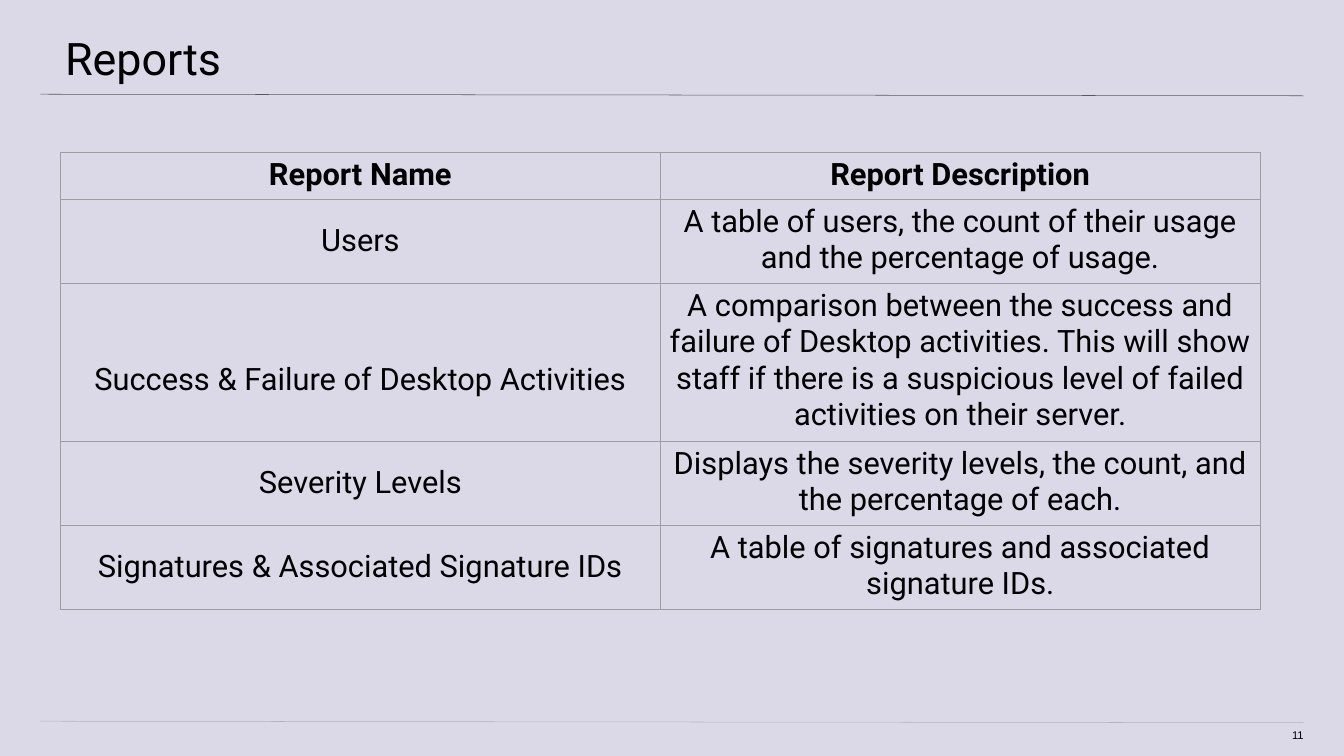
"""Build the Reports slide: a title, two rules, a report table and a page number."""
import pptx
import pptx.dml.color
import pptx.enum.text
import pptx.oxml
import pptx.oxml.ns
import pptx.util
from lxml import etree

Inches = pptx.util.Inches
Pt = pptx.util.Pt
ALIGN = pptx.enum.text.PP_ALIGN
ANCHOR = pptx.enum.text.MSO_ANCHOR
COLORS = {
    "background": "DBD9E8",
    "text": "000000",
    "title_rule": "595959",
    "footer_rule": "A9B7C0",
    "border": "9E9E9E",
}
REPORTS = [
    ("Report Name", "Report Description"),
    ("Users", "A table of users, the count of their usage and the percentage of usage."),
    (
        "Success & Failure of Desktop Activities",
        "A comparison between the success and failure of Desktop activities. This will "
        "show staff if there is a suspicious level of failed activities on their server.",
    ),
    ("Severity Levels", "Displays the severity levels, the count, and the percentage of each."),
    ("Signatures & Associated Signature IDs", "A table of signatures and associated signature IDs."),
]
ROW_HEIGHTS = [0.91, 1.64, 3.05, 1.64, 1.64]
COLUMN_WIDTH = 11.9


def color(name):
    return pptx.dml.color.RGBColor.from_string(COLORS[name])


def write(frame, text, size, face, align, margins, bold=False):
    frame.word_wrap = True
    frame.margin_left, frame.margin_top, frame.margin_right, frame.margin_bottom = map(Inches, margins)
    frame.text = text
    para = frame.paragraphs[0]
    para.alignment = align
    for span in para.runs:
        span.font.size = Pt(size)
        span.font.name = face
        span.font.bold = bold
        span.font.color.rgb = color("text")


deck = pptx.Presentation()
deck.slide_width, deck.slide_height = Inches(26.66), Inches(15)
page = deck.slides.add_slide(deck.slide_layouts[5])
page.background.fill.solid()
page.background.fill.fore_color.rgb = color("background")

for name, top in [("title_rule", 1.87), ("footer_rule", 14.31)]:
    rule = page.shapes.add_connector(
        pptx.enum.shapes.MSO_CONNECTOR.STRAIGHT,
        Inches(0.8), Inches(top), Inches(25.86), Inches(top + 0.03),
    )
    rule.line.color.rgb = color(name)
    rule.line.width = Pt(0.75)
    etree.SubElement(rule.element.spPr, pptx.oxml.ns.qn("a:effectLst"))

title = page.shapes.title
title.left, title.top, title.width, title.height = map(Inches, (-0.04, 0, 26.73, 1.56))
write(title.text_frame, "Reports", 64, "Roboto", ALIGN.LEFT, (1.33, 0.6, 0.8, 0.27))
title.text_frame.vertical_anchor = ANCHOR.TOP
title.text_frame.auto_size = pptx.enum.text.MSO_AUTO_SIZE.NONE

number = page.shapes.add_textbox(Inches(25.1), Inches(14.46), Inches(0.76), Inches(0.31))
write(number.text_frame, "11", 16, "Arial", ALIGN.RIGHT, (0, 0, 0, 0.27))

table = page.shapes.add_table(
    len(REPORTS), 2, Inches(1.2), Inches(3.02),
    Inches(2 * COLUMN_WIDTH), Inches(sum(ROW_HEIGHTS)),
).table
table.horz_banding = False
for column in table.columns:
    column.width = Inches(COLUMN_WIDTH)
for row_index, (report, height) in enumerate(zip(REPORTS, ROW_HEIGHTS)):
    table.rows[row_index].height = Inches(height)
    for column_index, text in enumerate(report):
        cell = table.cell(row_index, column_index)
        lowered = (row_index, column_index) == (2, 0)
        margins = (0.1, 0.81 if lowered else 0.1, 0.1, 0.1)
        write(cell.text_frame, text, 44, "Roboto", ALIGN.CENTER, margins, bold=row_index == 0)
        cell.margin_left, cell.margin_top, cell.margin_right, cell.margin_bottom = map(Inches, margins)
        is_name = row_index > 0 and column_index == 0
        cell.vertical_anchor = ANCHOR.MIDDLE if is_name else ANCHOR.TOP
        properties = cell._tc.get_or_add_tcPr()
        for side in ("lnL", "lnR", "lnT", "lnB"):
            properties.append(pptx.oxml.parse_xml(
                f'<a:{side} {pptx.oxml.ns.nsdecls("a")} w="{Pt(0.75)}"><a:solidFill>'
                f'<a:srgbClr val="{COLORS["border"]}"/></a:solidFill></a:{side}>'
            ))
        cell.fill.background()

deck.save("out.pptx")
